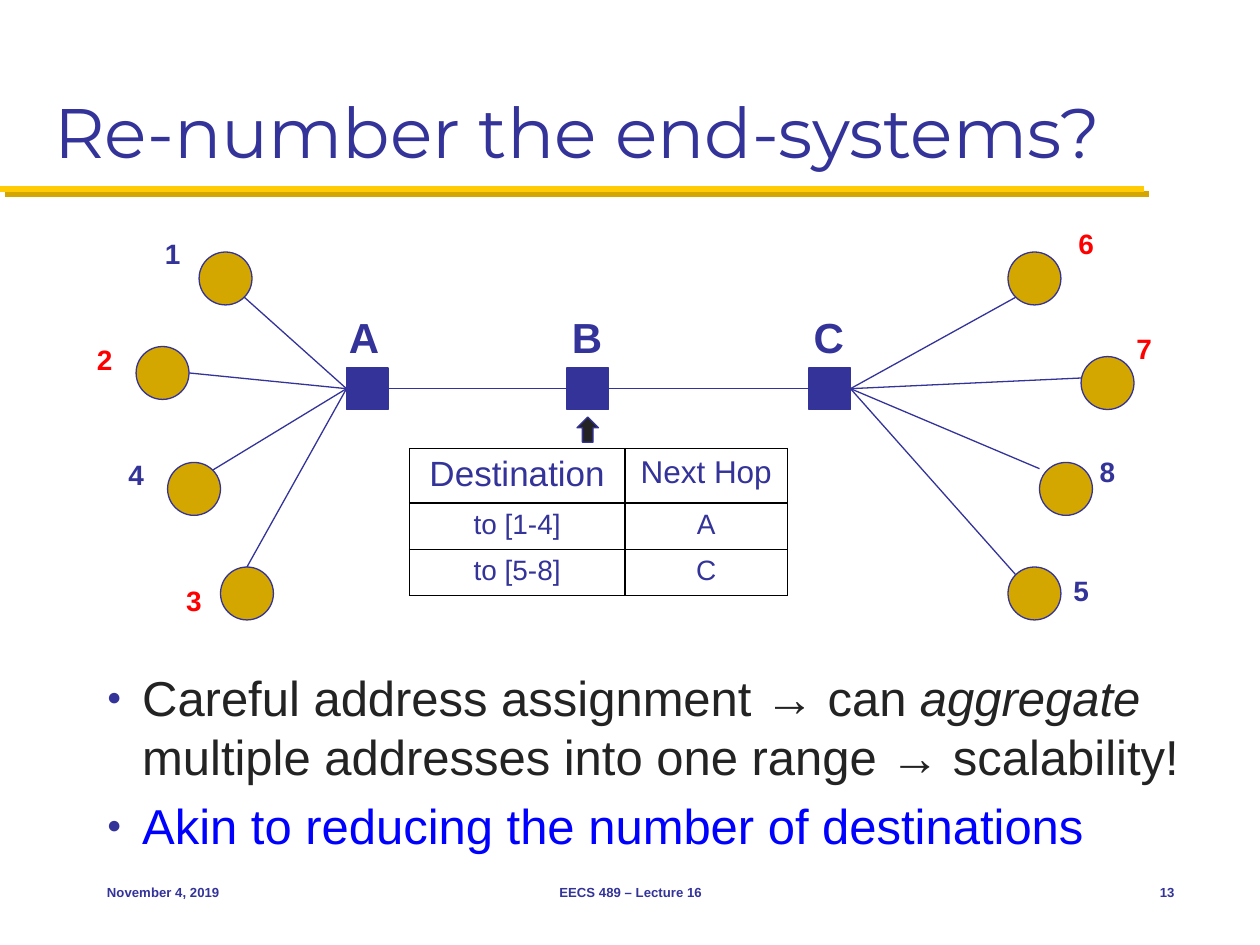
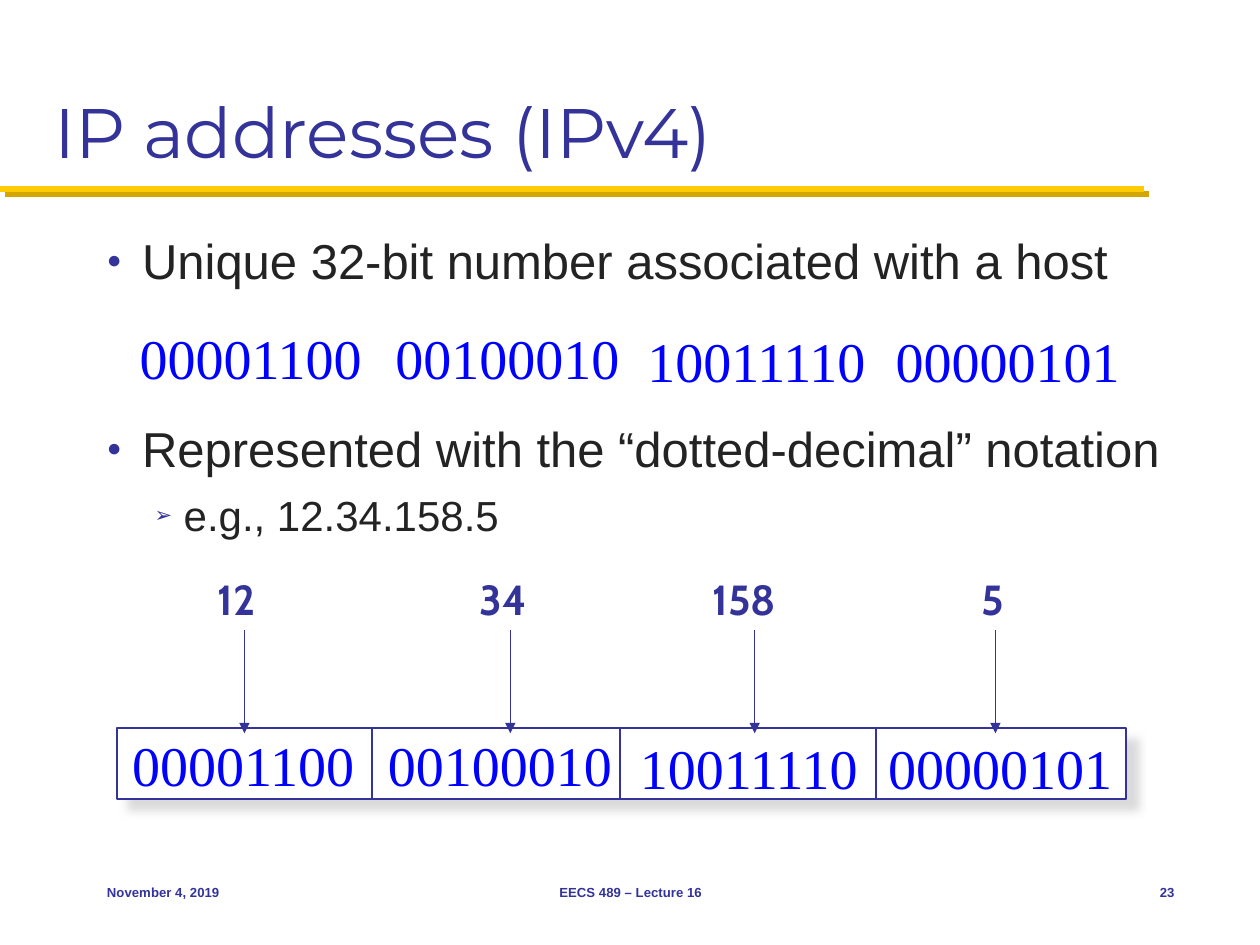
from dataclasses import dataclass

from lxml import etree
from pptx import Presentation
from pptx.dml.color import RGBColor
from pptx.enum.shapes import MSO_CONNECTOR, MSO_SHAPE
from pptx.enum.text import MSO_ANCHOR, MSO_AUTO_SIZE, PP_ALIGN
from pptx.oxml.ns import qn
from pptx.util import Inches, Pt

STRAIGHT = MSO_CONNECTOR.STRAIGHT
RECTANGLE, OVAL, UP_ARROW = MSO_SHAPE.RECTANGLE, MSO_SHAPE.OVAL, MSO_SHAPE.UP_ARROW
LEFT, CENTER, RIGHT = PP_ALIGN.LEFT, PP_ALIGN.CENTER, PP_ALIGN.RIGHT
TOP, MIDDLE, BOTTOM = MSO_ANCHOR.TOP, MSO_ANCHOR.MIDDLE, MSO_ANCHOR.BOTTOM
NO_AUTOFIT = MSO_AUTO_SIZE.NONE
LEFT_SIDE, RIGHT_SIDE = 1, 3

NAVY, INK, BLUE, RED = "333399", "232323", "0000FF", "FF0000"
YELLOW, GOLD, GREY, WHITE, BLACK = "FFCB05", "D3A600", "CECECE", "FFFFFF", "000000"
BODY_FONT, TITLE_FONT, BINARY_FONT, DECIMAL_FONT = (
    "Arial", "Montserrat", "Times New Roman", "Cabin")
TITLE_ONLY = 5


@dataclass
class Span:
    text: str
    size: float = 28
    color: str = INK
    font: str = BODY_FONT
    bold: bool = False
    italic: bool = False


@dataclass
class Bullet:
    spans: list[Span]
    before: float = 0
    mark: str = "●"
    indent: float = 0.28
    hang: float = 0.28


@dataclass
class Host:
    number: str
    at: tuple[float, float]
    label_at: tuple[float, float]
    link_from: tuple[float, float]
    color: str = NAVY


@dataclass
class Octet:
    decimal: str
    binary: str
    decimal_at: float
    decimal_width: float
    arrow_x: float
    binary_at: float
    binary_width: float
    drop: float = 0


ROUTERS = {"A": (2.75, 2.67), "B": (4.5, 4.44), "C": (6.42, 6.36)}
ROUTER_TOP, ROUTER_SIZE, HOST_SIZE = 2.92, 0.33, 0.42
HOSTS_OF_A = [
    Host("1", (1.58, 2), (1.21, 1.83), (1.94, 2.36)),
    Host("2", (1.08, 2.75), (0.67, 2.67), (1.5, 2.96), RED),
    Host("4", (1.33, 3.67), (0.92, 3.58), (1.69, 3.73)),
    Host("3", (1.75, 4.5), (1.38, 4.58), (1.96, 4.5), RED),
]
HOSTS_OF_C = [
    Host("6", (8, 2), (8.46, 1.75), (8.06, 2.36), RED),
    Host("7", (8.58, 2.83), (8.92, 2.58), (8.58, 3), RED),
    Host("8", (8.25, 3.67), (8.63, 3.56), (8.25, 3.72)),
    Host("5", (8, 4.5), (8.42, 4.5), (8.06, 4.56)),
]
ROUTES = [("Destination", "Next Hop"), ("to [1-4]", "A"), ("to [5-8]", "C")]
OCTETS = [
    Octet("12", "00001100", 1.63, 0.57, 1.94, 0.95, 1.98),
    Octet("34", "00100010", 3.71, 0.57, 4.05, 2.98, 2),
    Octet("158", "10011110", 5.56, 0.76, 5.99, 4.98, 1.95, 0.02),
    Octet("5", "00000101", 7.69, 0.39, 7.9, 6.95, 2, 0.02),
]


def rgb(color: str) -> RGBColor:
    return RGBColor.from_string(color)


def add_child(parent, tag: str, **attributes):
    child = etree.SubElement(parent, qn(tag))
    for name, value in attributes.items():
        child.set(name, str(value))
    return child


def add_solid(parent, color: str):
    return add_child(add_child(parent, "a:solidFill"), "a:srgbClr", val=color)


def cast_shadow(effects, color: str, opacity: int, blur: float, distance: float) -> None:
    """Add a shadow that falls to the lower right."""
    shadow = add_child(effects, "a:outerShdw", blurRad=Pt(blur), dist=Pt(distance),
                       dir=45 * 60000, algn="tl", rotWithShape=0)
    tone = add_child(shadow, "a:srgbClr", val=color)
    add_child(tone, "a:alpha", val=opacity * 1000)


def add_span(paragraph, span: Span) -> None:
    run = paragraph.add_run()
    run.text = span.text
    font = run.font
    font.name, font.size = span.font, Pt(span.size)
    font.bold, font.italic = span.bold, span.italic
    font.color.rgb = rgb(span.color)


def add_label(slide, at, size, span: Span, align=LEFT, anchor=TOP, wrap=False) -> None:
    box = slide.shapes.add_textbox(*map(Inches, (*at, *size)))
    frame = box.text_frame
    frame.word_wrap, frame.vertical_anchor = wrap, anchor
    frame.paragraphs[0].alignment = align
    add_span(frame.paragraphs[0], span)


def add_bullets(slide, at, size, bullets: list[Bullet]) -> None:
    frame = slide.shapes.add_textbox(*map(Inches, (*at, *size))).text_frame
    frame.word_wrap = True
    for index, bullet in enumerate(bullets):
        paragraph = frame.add_paragraph() if index else frame.paragraphs[0]
        properties = paragraph._p.get_or_add_pPr()
        properties.set("marL", str(Inches(bullet.indent)))
        properties.set("indent", str(-Inches(bullet.hang)))
        add_child(add_child(properties, "a:buClr"), "a:srgbClr", val=NAVY)
        add_child(properties, "a:buSzPct", val=50000)
        add_child(properties, "a:buFont", typeface=BODY_FONT)
        add_child(properties, "a:buChar", char=bullet.mark)
        if bullet.before:
            paragraph.space_before = Pt(bullet.before)
        for span in bullet.spans:
            add_span(paragraph, span)


def add_figure(slide, preset, at, size, fill: str, width: float = 0.75):
    figure = slide.shapes.add_shape(preset, *map(Inches, (*at, *size)))
    figure.shadow.inherit = False
    figure.fill.solid()
    figure.fill.fore_color.rgb = rgb(fill)
    figure.line.color.rgb = rgb(NAVY)
    figure.line.width = Pt(width)
    return figure


def add_line(slide, start, end, color: str = NAVY, width: float = 0.75, arrow: bool = False):
    line = slide.shapes.add_connector(STRAIGHT, *map(Inches, (*start, *end)))
    line.line.color.rgb = rgb(color)
    line.line.width = Pt(width)
    if arrow:
        add_child(line.line._get_or_add_ln(), "a:tailEnd", type="triangle")
    add_child(line._element.spPr, "a:effectLst")
    return line


def start_slide(deck, title: str, number: int):
    """Add a slide with its title, the rule below it and the footers."""
    slide = deck.slides.add_slide(deck.slide_layouts[TITLE_ONLY])
    rule = add_line(slide, (0, 1.5), (9.08, 1.5), YELLOW, 3.5)
    cast_shadow(rule._element.spPr.find(qn("a:effectLst")), GOLD, 100, 0, 4.2)

    heading = slide.shapes.title
    heading.left, heading.top = Inches(0.33), Inches(0.17)
    heading.width, heading.height = Inches(9.33), Inches(1.25)
    frame = heading.text_frame
    frame.auto_size, frame.vertical_anchor = NO_AUTOFIT, BOTTOM
    frame.paragraphs[0].alignment = LEFT
    add_span(frame.paragraphs[0], Span(title, 40, NAVY, TITLE_FONT))

    for text, left, width, align in (("November 4, 2019", 0.75, 2.08, LEFT),
                                     ("EECS 489 – Lecture 16", 3.42, 3.17, CENTER),
                                     (str(number), 8.75, 0.67, RIGHT)):
        add_label(slide, (left, 6.83), (width, 0.5), Span(text, 7.5, NAVY, bold=True),
                  align, MIDDLE, wrap=True)
    return slide


def add_routing_table(slide) -> None:
    frame = slide.shapes.add_table(len(ROUTES), 2, *map(Inches, (3.25, 3.56, 3, 1.1)))
    table = frame.table
    table.first_row = table.horz_banding = False
    for column, width in zip(table.columns, (1.71, 1.29)):
        column.width = Inches(width)
    for row, height in zip(table.rows, (0.4, 0.35, 0.35)):
        row.height = Inches(height)
    for r, route in enumerate(ROUTES):
        for c, text in enumerate(route):
            cell = table.cell(r, c)
            properties = cell._tc.get_or_add_tcPr()
            for side in ("a:lnL", "a:lnR", "a:lnT", "a:lnB"):
                add_solid(add_child(properties, side, w=Pt(1)), BLACK)
            cell.fill.background()
            paragraph = cell.text_frame.paragraphs[0]
            paragraph.alignment = CENTER
            size = 16 if r else (20, 18)[c]
            add_span(paragraph, Span(text, size, NAVY))


def add_hosts(slide, hosts: list[Host], router, side: int) -> None:
    """Draw hosts with their numbers and link them to one side of a router."""
    for host in hosts:
        add_figure(slide, OVAL, host.at, (HOST_SIZE, HOST_SIZE), GOLD)
        link = add_line(slide, host.link_from, host.link_from)
        link.end_connect(router, side)
        add_label(slide, host.label_at, (0.33, 0.37), Span(host.number, 16, host.color, bold=True))


def build_renumbering(deck) -> None:
    slide = start_slide(deck, "Re-number the end-systems?", 13)
    add_bullets(slide, (0.75, 5.25), (8.75, 1.57), [
        Bullet([Span("Careful address assignment → can "),
                Span("aggregate", italic=True),
                Span(" multiple addresses into one range → scalability!")]),
        Bullet([Span("Akin to reducing the number of destinations", color=BLUE)], before=6),
    ])
    add_routing_table(slide)
    routers = []
    for name, (left, label_left) in ROUTERS.items():
        routers.append(add_figure(slide, RECTANGLE, (left, ROUTER_TOP),
                                  (ROUTER_SIZE, ROUTER_SIZE), NAVY))
        add_label(slide, (label_left, 2.42), (0.43, 0.5), Span(name, 24, NAVY, bold=True))
    for near, far in zip(routers, routers[1:]):
        trunk = add_line(slide, (0, 0), (0, 0))
        trunk.begin_connect(near, RIGHT_SIDE)
        trunk.end_connect(far, LEFT_SIDE)
    add_hosts(slide, HOSTS_OF_A, routers[0], LEFT_SIDE)
    add_hosts(slide, HOSTS_OF_C, routers[-1], RIGHT_SIDE)
    add_figure(slide, UP_ARROW, (4.58, 3.31), (0.17, 0.2), INK)


def add_binary_row(slide, shift: float, top: float) -> None:
    for octet in OCTETS:
        add_label(slide, (octet.binary_at + shift, top + octet.drop), (octet.binary_width, 0.64),
                  Span(octet.binary, 32, BLUE, BINARY_FONT))


def build_addresses(deck) -> None:
    slide = start_slide(deck, "IP addresses (IPv4)", 23)
    add_bullets(slide, (0.75, 1.78), (8.67, 4.8), [
        Bullet([Span("Unique 32-bit number associated with a host")]),
        Bullet([Span("Represented with the “dotted-decimal” notation")], before=74),
        Bullet([Span("e.g., 12.34.158.5", 24)], before=7, mark="➢", indent=0.61, hang=0.23),
    ])
    address = add_figure(slide, RECTANGLE, (0.93, 5.78), (8.01, 0.56), WHITE, 1)
    cast_shadow(address._element.spPr.find(qn("a:effectLst")), GREY, 75, 5, 8.5)
    for x in (2.95, 4.92, 6.95):
        add_line(slide, (x, 5.78), (x, 6.34), width=1)
    add_binary_row(slide, 0, 5.75)
    add_binary_row(slide, 0.06, 2.52)
    for octet in OCTETS:
        add_label(slide, (octet.decimal_at, 4.5), (octet.decimal_width, 0.5),
                  Span(octet.decimal, 24, NAVY, DECIMAL_FONT, bold=True))
        add_line(slide, (octet.arrow_x, 5), (octet.arrow_x, 5.82), arrow=True)


def main() -> None:
    deck = Presentation()
    deck.slide_width, deck.slide_height = Inches(10), Inches(7.5)
    build_renumbering(deck)
    build_addresses(deck)
    deck.save("out.pptx")


if __name__ == "__main__":
    main()
